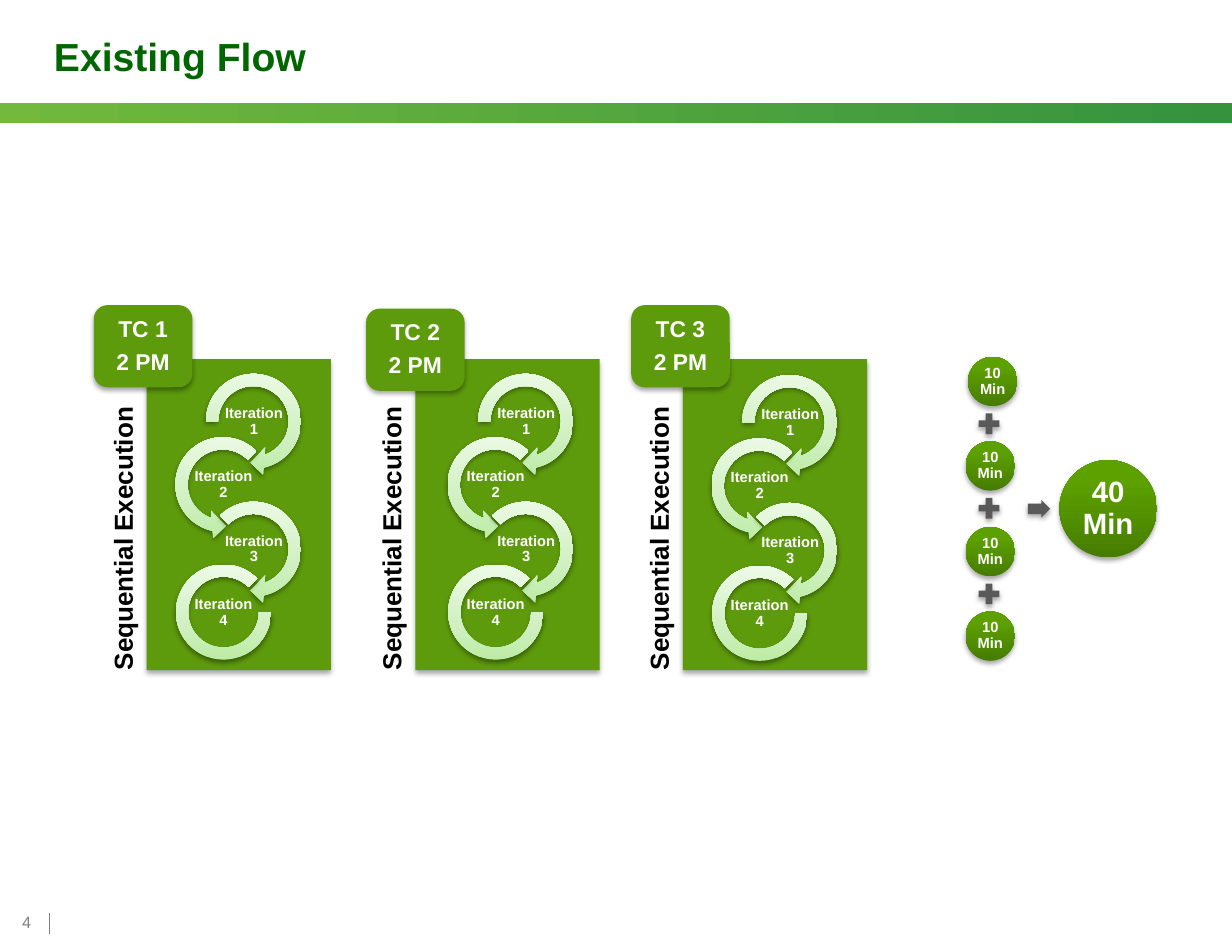
"""Build the slide that shows the existing sequential flow."""
from dataclasses import dataclass
from typing import Optional, Union

from lxml import etree
from pptx import Presentation
from pptx import util as u
from pptx.dml.color import RGBColor
from pptx.enum import shapes, text
from pptx.oxml import ns

PX = 9144
KIND = shapes.MSO_SHAPE
Stops = tuple[tuple[int, str], ...]


@dataclass(frozen=True)
class Theme:
    font: str = "Arial"
    title: str = "006600"
    green: str = "5D9A0C"
    gray: str = "595959"
    faint: str = "808080"
    white: str = "FFFFFF"
    black: str = "000000"
    band: Stops = ((0, "72B93D"), (100, "35933E"))
    ring: Stops = ((0, "BCECA5"), (35, "D0F0C1"), (100, "EDFAE7"))
    ball: Stops = ((0, "477C00"), (80, "5CA100"), (100, "5CA200"))
    head: int = 24
    total: int = 18
    side: int = 16
    tag: int = 14
    small: int = 9
    page: int = 10


@dataclass(frozen=True)
class Box:
    x: int
    y: int
    w: int
    h: int

    def emu(self) -> tuple[int, ...]:
        return tuple(n * PX for n in (self.x, self.y, self.w, self.h))


@dataclass(frozen=True)
class Glow:
    alpha: int
    dist: float
    blur: float = 3.1


@dataclass(frozen=True)
class Lane:
    name: str
    panel: int
    ring: tuple[int, int]
    tag: tuple[int, int]


@dataclass(frozen=True)
class Turn:
    kind: KIND
    dx: int
    adj: tuple[float, ...]
    pad: tuple[int, int] = (0, 0)
    size: int = 94


T = Theme()
DEEP = Glow(35, 1.8)
SOFT = Glow(38, 1.6)
LANES = (
    Lane("TC 1", 125, (169, 312), (80, 260)),
    Lane("TC 2", 354, (401, 312), (312, 263)),
    Lane("TC 3", 582, (626, 313), (538, 260)),
)
TURNS = (
    Turn(KIND.CIRCULAR_ARROW, 0, (0.11, 11.42, 45, 108, 0.125)),
    Turn(KIND.LEFT_CIRCULAR_ARROW, -26, (0.11, 11.42, 63, 189, 0.125)),
    Turn(KIND.CIRCULAR_ARROW, 0, (0.11, 11.42, 45, 135, 0.125)),
    Turn(KIND.BLOCK_ARC, -26, (0, 189, 0.127), (7, 6), 81),
)
TURN_STEP = 163 / 3
BALL_STEP = 72.5


def node(root, tag: str, **attrs):
    return etree.SubElement(root, ns.qn(tag), {k: str(v) for k, v in attrs.items()})


def blend(shape, stops: Stops, angle: int) -> None:
    shape.fill.gradient()
    grad = shape.element.spPr.find(ns.qn("a:gradFill"))
    for child in list(grad):
        grad.remove(child)
    group = node(grad, "a:gsLst")
    for pos, tone in stops:
        node(node(group, "a:gs", pos=pos * 1000), "a:srgbClr", val=tone)
    node(grad, "a:lin", ang=angle * 60000, scaled=0)


def cast(shape, glow: Glow) -> None:
    root = shape.element.spPr.find(ns.qn("a:effectLst"))
    shade = node(root, "a:outerShdw", blurRad=int(u.Pt(glow.blur)),
                 dist=int(u.Pt(glow.dist)), dir=5400000, rotWithShape=0)
    tone = node(shade, "a:srgbClr", val=T.black)
    node(tone, "a:alpha", val=glow.alpha * 1000)


def draw(slide, kind: KIND, box: Box, fill: Union[str, Stops],
         glow: Optional[Glow] = DEEP, adj: tuple[float, ...] = (), angle: int = 270):
    shape = slide.shapes.add_shape(kind, *box.emu())
    shape.shadow.inherit = False
    shape.line.fill.background()
    for i, value in enumerate(adj):
        shape.adjustments[i] = value
    if isinstance(fill, str):
        shape.fill.solid()
        shape.fill.fore_color.rgb = RGBColor.from_string(fill)
    else:
        blend(shape, fill, angle)
    if glow:
        cast(shape, glow)
    return shape


def write(shape, words: str, size: int, color: str = T.white, bold: bool = True,
          inset: tuple[int, int, int, int] = (1, 1, 1, 1),
          align=text.PP_ALIGN.CENTER, anchor=text.MSO_ANCHOR.MIDDLE,
          lead: float = 0.9) -> None:
    frame = shape.text_frame
    frame.text = words
    frame.word_wrap = True
    frame.vertical_anchor = anchor
    (frame.margin_left, frame.margin_top,
     frame.margin_right, frame.margin_bottom) = (n * PX for n in inset)
    for para in frame.paragraphs:
        para.alignment = align
        para.line_spacing = lead
        for run in para.runs:
            font = run.font
            font.name, font.size, font.bold = T.font, u.Pt(size), bold
            font.color.rgb = RGBColor.from_string(color)
    for para in frame.paragraphs[:-1]:
        para.space_after = u.Pt(round(size * 0.35))


def label(slide, box: Box, words: str, size: int, **style):
    shape = slide.shapes.add_textbox(*box.emu())
    write(shape, words, size, **style)
    return shape


def frame_page(slide) -> None:
    left = text.PP_ALIGN.LEFT
    draw(slide, KIND.RECTANGLE, Box(0, 88, 1050, 17), T.band, None, angle=0)
    rule = slide.shapes.add_connector(
        shapes.MSO_CONNECTOR.STRAIGHT, *(n * PX for n in (42, 796, 42, 778)))
    rule.line.color.rgb = RGBColor.from_string(T.faint)
    rule.line.width = u.Pt(0.5)
    node(rule.element.spPr, "a:effectLst")
    label(slide, Box(8, 774, 37, 25), "4", T.page, color=T.faint, bold=False,
          inset=(11, 5, 11, 5), align=left, anchor=text.MSO_ANCHOR.BOTTOM, lead=1.0)
    label(slide, Box(35, 0, 831, 96), "Existing Flow", T.head, color=T.title,
          inset=(11, 5, 11, 5), align=left, lead=1.0)


def draw_lane(slide, lane: Lane) -> None:
    side = label(slide, Box(lane.panel - 148, 423, 265, 31), "Sequential Execution",
                 T.side, color=T.black, inset=(0, 0, 28, 0),
                 align=text.PP_ALIGN.LEFT, anchor=text.MSO_ANCHOR.TOP)
    side.rotation = 270
    draw(slide, KIND.RECTANGLE, Box(lane.panel, 306, 157, 265), T.green)
    for i, turn in enumerate(TURNS):
        x = lane.ring[0] + turn.dx
        y = lane.ring[1] + round(i * TURN_STEP)
        ring = Box(x + turn.pad[0], y + turn.pad[1], turn.size, turn.size)
        draw(slide, turn.kind, ring, T.ring, SOFT, turn.adj)
        label(slide, Box(x + 21, y + 34, 53, 26), f"Iteration {i + 1}", T.small)
    tag = draw(slide, KIND.ROUNDED_RECTANGLE, Box(*lane.tag, 84, 70), T.green)
    write(tag, f"{lane.name}\n2 PM", T.tag, inset=(13, 7, 13, 7))


def draw_sum(slide) -> None:
    for i in range(4):
        drop = int(i * BALL_STEP)
        ball = draw(slide, KIND.OVAL, Box(823 if i else 825, 304 + drop, 42, 42), T.ball)
        write(ball, "10 Min", T.small)
        if i < 3:
            draw(slide, KIND.MATH_PLUS, Box(831, 349 + drop, 24, 24), T.gray)
    draw(slide, KIND.RIGHT_ARROW, Box(876, 426, 19, 15), T.gray, adj=(0.6, 0.5))
    total = draw(slide, KIND.OVAL, Box(903, 392, 83, 83), T.ball)
    write(total, "40 Min", T.total, inset=(3, 3, 3, 3))


def main() -> None:
    deck = Presentation()
    deck.slide_width, deck.slide_height = 1050 * PX, 800 * PX
    slide = deck.slides.add_slide(deck.slide_layouts[6])
    frame_page(slide)
    for lane in LANES:
        draw_lane(slide, lane)
    draw_sum(slide)
    deck.save("out.pptx")


if __name__ == "__main__":
    main()
